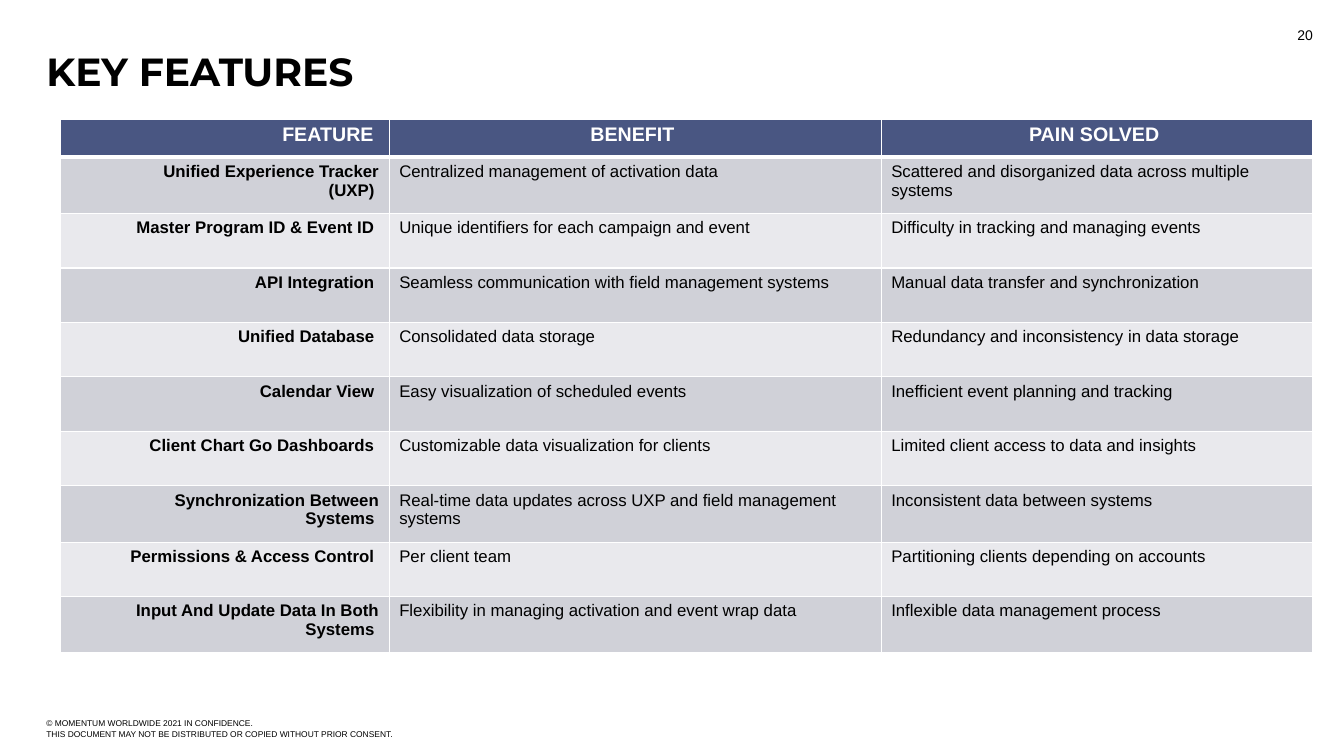
from lxml import etree
from pptx import Presentation
from pptx.dml.color import RGBColor
from pptx.enum.text import MSO_ANCHOR, PP_ALIGN
from pptx.oxml.ns import qn
from pptx.util import Inches, Pt

LEFT, CENTER, RIGHT = PP_ALIGN.LEFT, PP_ALIGN.CENTER, PP_ALIGN.RIGHT
TOP, MIDDLE = MSO_ANCHOR.TOP, MSO_ANCHOR.MIDDLE

COLORS = {
    "text": "000000",
    "white": "FFFFFF",
    "header": "495682",
    "odd_row": "D0D1D8",
    "even_row": "E9E9ED",
}
NO_BREAK_SPACE = chr(160)  # ends each cell, nudging right-aligned text inwards

COLUMN_WIDTHS = (3.26, 4.88, 4.28)
HEADER_HEIGHT, ROW_HEIGHT, TALL_ROW_HEIGHT = 0.38, 0.54, 0.56
TALL_ROWS = (1, 7, 9)  # rows whose text wraps to two lines
HEADINGS = ("FEATURE", "BENEFIT", "PAIN SOLVED")
FEATURES = [
    ("Unified Experience Tracker (UXP)",
     "Centralized management of activation data",
     "Scattered and disorganized data across multiple systems"),
    ("Master Program ID & Event ID",
     "Unique identifiers for each campaign and event",
     "Difficulty in tracking and managing events"),
    ("API Integration",
     "Seamless communication with field management systems",
     "Manual data transfer and synchronization"),
    ("Unified Database",
     "Consolidated data storage",
     "Redundancy and inconsistency in data storage"),
    ("Calendar View",
     "Easy visualization of scheduled events",
     "Inefficient event planning and tracking"),
    ("Client Chart Go Dashboards",
     "Customizable data visualization for clients",
     "Limited client access to data and insights"),
    ("Synchronization Between Systems",
     "Real-time data updates across UXP and field management systems",
     "Inconsistent data between systems"),
    ("Permissions & Access Control",
     "Per client team",
     "Partitioning clients depending on accounts"),
    ("Input And Update Data In Both Systems",
     "Flexibility in managing activation and event wrap data",
     "Inflexible data management process"),
]


def format_paragraph(paragraph, size, color="text", bold=False, align=LEFT, font="Arial"):
    paragraph.alignment = align
    for run in paragraph.runs:
        run.font.name = font
        run.font.size = Pt(size)
        run.font.bold = bold
        run.font.color.rgb = RGBColor.from_string(COLORS[color])


def clear_margins(text_frame):
    text_frame.margin_left = text_frame.margin_right = 0
    text_frame.margin_top = text_frame.margin_bottom = 0


def add_text(slide, box, text, size, align=LEFT):
    shape = slide.shapes.add_textbox(*map(Inches, box))
    text_frame = shape.text_frame
    text_frame.word_wrap = True
    text_frame.vertical_anchor = MIDDLE
    paragraph = text_frame.paragraphs[0]
    paragraph.text = text
    format_paragraph(paragraph, size, align=align)
    return text_frame


def add_footer(slide, box):
    text_frame = add_text(
        slide, box,
        "© MOMENTUM WORLDWIDE 2021 IN CONFIDENCE. \v"
        "THIS DOCUMENT MAY NOT BE DISTRIBUTED OR COPIED WITHOUT PRIOR CONSENT.", 6)
    clear_margins(text_frame)
    text_frame.paragraphs[0].line_spacing = 1.15


def set_title(slide, box, text):
    title = slide.shapes.title
    title.left, title.top, title.width, title.height = map(Inches, box)
    text_frame = title.text_frame
    text_frame.text = text
    text_frame.vertical_anchor = TOP
    clear_margins(text_frame)
    paragraph = text_frame.paragraphs[0]
    paragraph.line_spacing = 0.85
    paragraph.space_after = Pt(16)
    format_paragraph(paragraph, 28, bold=True, font="Montserrat")


def set_borders(cell, bottom_width):
    properties = cell._tc.get_or_add_tcPr()
    widths = {"a:lnL": 1, "a:lnR": 1, "a:lnT": 1, "a:lnB": bottom_width}
    for position, (tag, width) in enumerate(widths.items()):
        line = etree.Element(qn(tag), w=str(Pt(width)))
        fill = etree.SubElement(line, qn("a:solidFill"))
        etree.SubElement(fill, qn("a:srgbClr"), val=COLORS["white"])
        properties.insert(position, line)


def fill_cell(cell, text, row, column):
    is_header = row == 0
    is_feature = column == 0
    band = "header" if is_header else "odd_row" if row % 2 else "even_row"
    cell.fill.solid()
    cell.fill.fore_color.rgb = RGBColor.from_string(COLORS[band])
    set_borders(cell, 3 if is_header else 1)

    paragraph = cell.text_frame.paragraphs[0]
    paragraph.text = text + NO_BREAK_SPACE
    if is_header:
        format_paragraph(paragraph, 14, "white", True, RIGHT if is_feature else CENTER)
    else:
        format_paragraph(paragraph, 12, bold=is_feature, align=RIGHT if is_feature else LEFT)
        if is_feature:
            paragraph.level = 1
            properties = paragraph._p.get_or_add_pPr()
            properties.set("marL", str(Inches(0.5)))
            properties.set("indent", "0")


def add_feature_table(slide, box):
    rows = [HEADINGS] + FEATURES
    frame = slide.shapes.add_table(len(rows), len(HEADINGS), *map(Inches, box))
    table = frame.table
    for column, width in zip(table.columns, COLUMN_WIDTHS):
        column.width = Inches(width)
    for row, texts in enumerate(rows):
        height = TALL_ROW_HEIGHT if row in TALL_ROWS else ROW_HEIGHT
        table.rows[row].height = Inches(height if row else HEADER_HEIGHT)
        for column, text in enumerate(texts):
            fill_cell(table.cell(row, column), text, row, column)


def main():
    presentation = Presentation()
    presentation.slide_width = Inches(13.33)
    presentation.slide_height = Inches(7.5)
    slide = presentation.slides.add_slide(presentation.slide_layouts[5])

    add_footer(slide, (0.46, 6.96, 4.01, 0.52))
    set_title(slide, (0.46, 0.54, 12.42, 1), "KEY FEATURES")
    add_feature_table(slide, (0.6, 1.18, 12.42, 5.29))
    add_text(slide, (10.12, 0.15, 3, 0.4), "20", 10, RIGHT)  # page number

    presentation.save("out.pptx")


if __name__ == "__main__":
    main()
